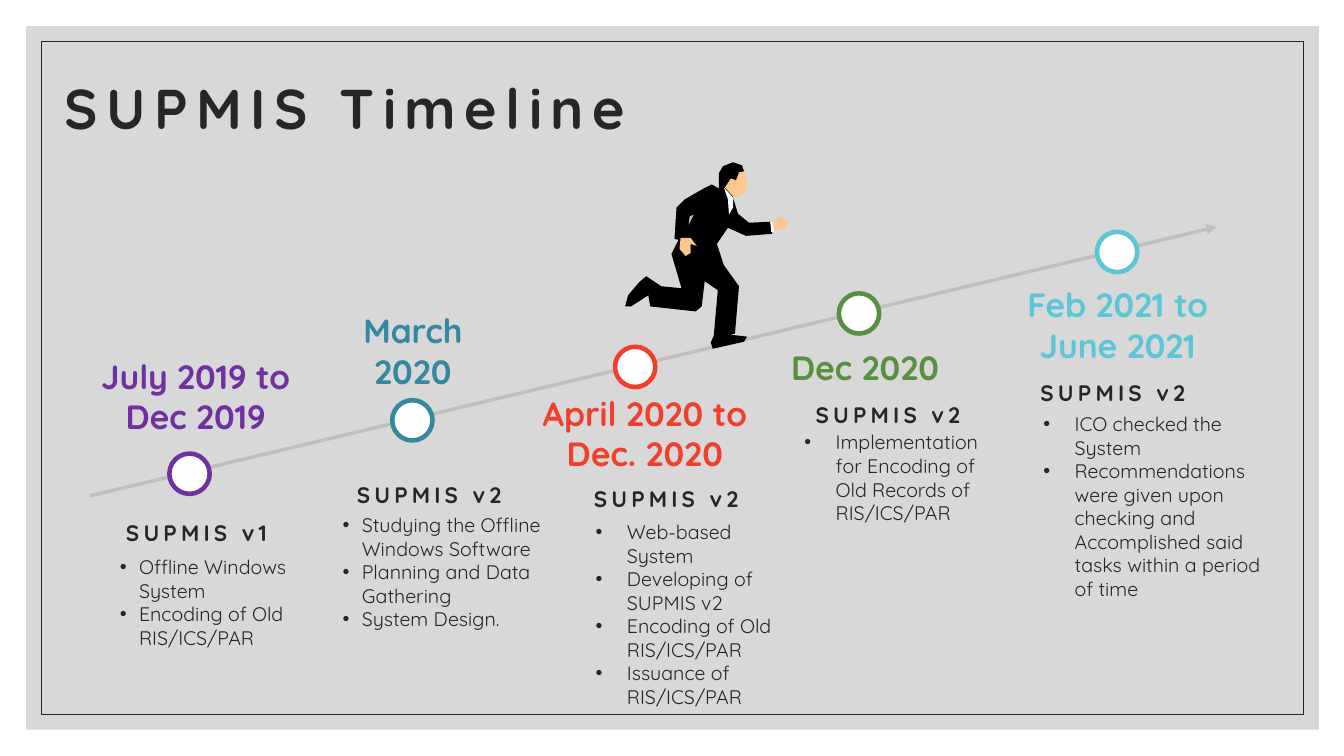
from lxml import etree
from pptx import Presentation
from pptx.dml.color import RGBColor
from pptx.enum.shapes import MSO_CONNECTOR, MSO_SHAPE
from pptx.enum.text import MSO_ANCHOR, MSO_AUTO_SIZE, PP_ALIGN
from pptx.oxml.ns import qn
from pptx.util import Pt

RECT, OVAL = MSO_SHAPE.RECTANGLE, MSO_SHAPE.OVAL
STRAIGHT = MSO_CONNECTOR.STRAIGHT
LEFT, CENTER = PP_ALIGN.LEFT, PP_ALIGN.CENTER
MIDDLE = MSO_ANCHOR.MIDDLE
GROW, FIXED = MSO_AUTO_SIZE.SHAPE_TO_FIT_TEXT, MSO_AUTO_SIZE.NONE

PX = 9144  # EMU per px, 100 px to the inch
FONT = "Quicksand"
COLORS = {
    "ink": "262626", "gray": "BFBFBF", "white": "FFFFFF", "black": "000000",
    "purple": "7030A0", "teal": "3488A0", "red": "F03F2B", "green": "57903F",
    "sky": "5CC6D6", "skin": "FDC68E",
}

# Content: each text is placed by (left, top, width) in px
TITLE = "SUPMIS Timeline"
MILESTONES = [
    dict(color="purple", dot_left=168, date="July 2019 to Dec 2019", date_at=(77, 348, 234),
         version="SUPMIS v1", version_at=(113, 510, 206), indent=19, list_at=(109, 546, 205),
         items=["Offline Windows System", "Encoding of Old RIS/ICS/PAR"]),
    dict(color="teal", dot_left=389, date="March 2020", date_at=(344, 303, 131),
         version="SUPMIS v2", version_at=(342, 472, 200), indent=19, list_at=(330, 504, 236),
         items=["Studying the Offline Windows Software", "Planning and Data Gathering",
                "System Design."]),
    dict(color="red", dot_left=610, date="April 2020 to Dec. 2020", date_at=(525, 385, 229),
         version="SUPMIS v2", version_at=(577, 476, 195), indent=31, list_at=(581, 511, 207),
         items=["Web-based System", "Developing of SUPMIS v2", "Encoding of Old RIS/ICS/PAR",
                "Issuance of RIS/ICS/PAR"]),
    dict(color="green", dot_left=832, date="Dec 2020", date_at=(772, 339, 172),
         version="SUPMIS v2", version_at=(797, 393, 173), indent=31, list_at=(788, 422, 202),
         items=["Implementation for Encoding of Old Records of RIS/ICS/PAR"]),
    dict(color="sky", dot_left=1088, date="Feb 2021 to June 2021", date_at=(999, 277, 219),
         version="SUPMIS v2", version_at=(1020, 371, 216), indent=31, list_at=(1025, 404, 241),
         items=["ICO checked the System",
                "Recommendations were given upon checking and Accomplished said tasks "
                "within a period of time"]),
]

# Running man: (color, outline), back to front
RUNNER = [
    ("black", [  # suit, hair and shoes
        (764, 220), (743, 221), (732, 212), (727, 196), (738, 170), (736, 164), (727, 161),
        (717, 165), (713, 172), (713, 187), (706, 183), (698, 187), (679, 198), (671, 206),
        (669, 237), (673, 238), (666, 252), (676, 286), (656, 284), (641, 274), (634, 280),
        (623, 293), (620, 304), (626, 304), (643, 293), (645, 304), (690, 309), (696, 304),
        (699, 279), (712, 288), (708, 333), (705, 340), (707, 346), (738, 339), (741, 334),
        (724, 332), (729, 331), (733, 284), (718, 263), (711, 242), (722, 226), (740, 234),
        (766, 232)]),
    ("gray", [(683, 223), (684, 215), (688, 213)]),
    ("skin", [(766, 221), (774, 215), (782, 219), (779, 227), (768, 228)]),
    ("white", [(764, 220), (766, 220), (768, 230), (765, 230)]),
    ("skin", [(719, 186), (725, 177), (730, 179), (733, 171), (738, 170), (741, 181),
              (738, 192), (728, 196)]),
    ("white", [(718, 186), (727, 196), (727, 206), (723, 213), (722, 198)]),
    ("skin", [(675, 236), (685, 236), (691, 244), (685, 242), (685, 251), (680, 254),
              (674, 247)]),
]


def emu(*values):
    return [round(v) * PX for v in values]


def rgb(name):
    return RGBColor.from_string(COLORS[name])


def style(sp, fill=None, line=None, width=1):
    sp.shadow.inherit = False
    for part, color in ((sp.fill, fill), (sp.line.fill, line)):
        if color:
            part.solid()
            part.fore_color.rgb = rgb(color)
        else:
            part.background()
    if line:
        sp.line.width = Pt(width)


def write(sp, text, size=14, color="ink", bold=False, spacing=0, align=LEFT,
          indent=0, margin=10, fit=GROW):
    """Fill a shape with one paragraph per line; an indent makes bullets."""
    tf = sp.text_frame
    tf.word_wrap = True
    tf.auto_size = fit
    tf.margin_left = tf.margin_right = margin * PX
    for i, line in enumerate(text.split("\n")):
        p = tf.add_paragraph() if i else tf.paragraphs[0]
        p.alignment = align
        r = p.add_run()
        r.text = line
        r.font.name, r.font.size, r.font.bold = FONT, Pt(size), bold
        r.font.color.rgb = rgb(color)
        if spacing:
            r.font._element.set("spc", str(spacing * 100))
        if indent:
            pPr = p._p.get_or_add_pPr()
            pPr.set("marL", str(indent * PX))
            pPr.set("indent", str(-indent * PX))
            etree.SubElement(pPr, qn("a:buFont")).set("typeface", "Arial")
            etree.SubElement(pPr, qn("a:buChar")).set("char", "•")
    return tf


prs = Presentation()
prs.slide_width, prs.slide_height = emu(1333, 750)
s = prs.slides.add_slide(prs.slide_layouts[5])

# Panel and thin frame
panel = s.shapes.add_shape(RECT, *emu(26, 26, 1282, 698))
style(panel, fill="gray")
panel_color = panel.element.spPr.find(qn("a:solidFill"))[0]
etree.SubElement(panel_color, qn("a:alpha")).set("val", "60000")
style(s.shapes.add_shape(RECT, *emu(41, 41, 1252, 668)), line="ink", width=0.5)

# Rising arrow
X1, Y1, X2, Y2 = 89, 492, 1207, 225
arrow = s.shapes.add_connector(STRAIGHT, *emu(X1, Y1, X2, Y2))
arrow.line.color.rgb = rgb("gray")
arrow.line.width = Pt(2.5)
etree.SubElement(arrow.line._get_or_add_ln(), qn("a:tailEnd")).set("type", "triangle")
etree.SubElement(arrow.element.spPr, qn("a:effectLst"))

# Milestones: the dots follow the arrow, from the first one up
DOT, FIRST_TOP = 40, 450
DATE_H, VERSION_H, LINE_H = 91, 37, 24
slope = (Y2 - Y1) / (X2 - X1)
for m in MILESTONES:
    shapes = s.shapes.add_group_shape().shapes
    dot_top = FIRST_TOP + slope * (m["dot_left"] - MILESTONES[0]["dot_left"])
    dot = shapes.add_shape(OVAL, *emu(m["dot_left"], dot_top, DOT, DOT))
    style(dot, "white", m["color"], 3.25)
    write(shapes.add_textbox(*emu(*m["date_at"], DATE_H)), m["date"],
          size=24, color=m["color"], bold=True, align=CENTER)
    list_h = 2 * LINE_H * len(m["items"])
    write(shapes.add_textbox(*emu(*m["list_at"], list_h)), "\n".join(m["items"]),
          indent=m["indent"])
    write(shapes.add_textbox(*emu(*m["version_at"], VERSION_H)), m["version"],
          size=16, bold=True, spacing=3, margin=12)

# Running man
runner = s.shapes.add_group_shape().shapes
for color, outline in RUNNER:
    fb = runner.build_freeform(*outline[0], scale=PX)
    fb.add_line_segments(outline[1:], close=True)
    style(fb.convert_to_shape(), fill=color)

# Title, in front of the panel
title = s.shapes.title
title.left, title.top, title.width, title.height = emu(54, 35, 1100, 150)
tf = write(title, TITLE, size=40, bold=True, spacing=6, fit=FIXED)
tf.vertical_anchor = MIDDLE
tf.paragraphs[0].line_spacing = 0.9
s.shapes.element.append(title.element)

prs.save("out.pptx")
